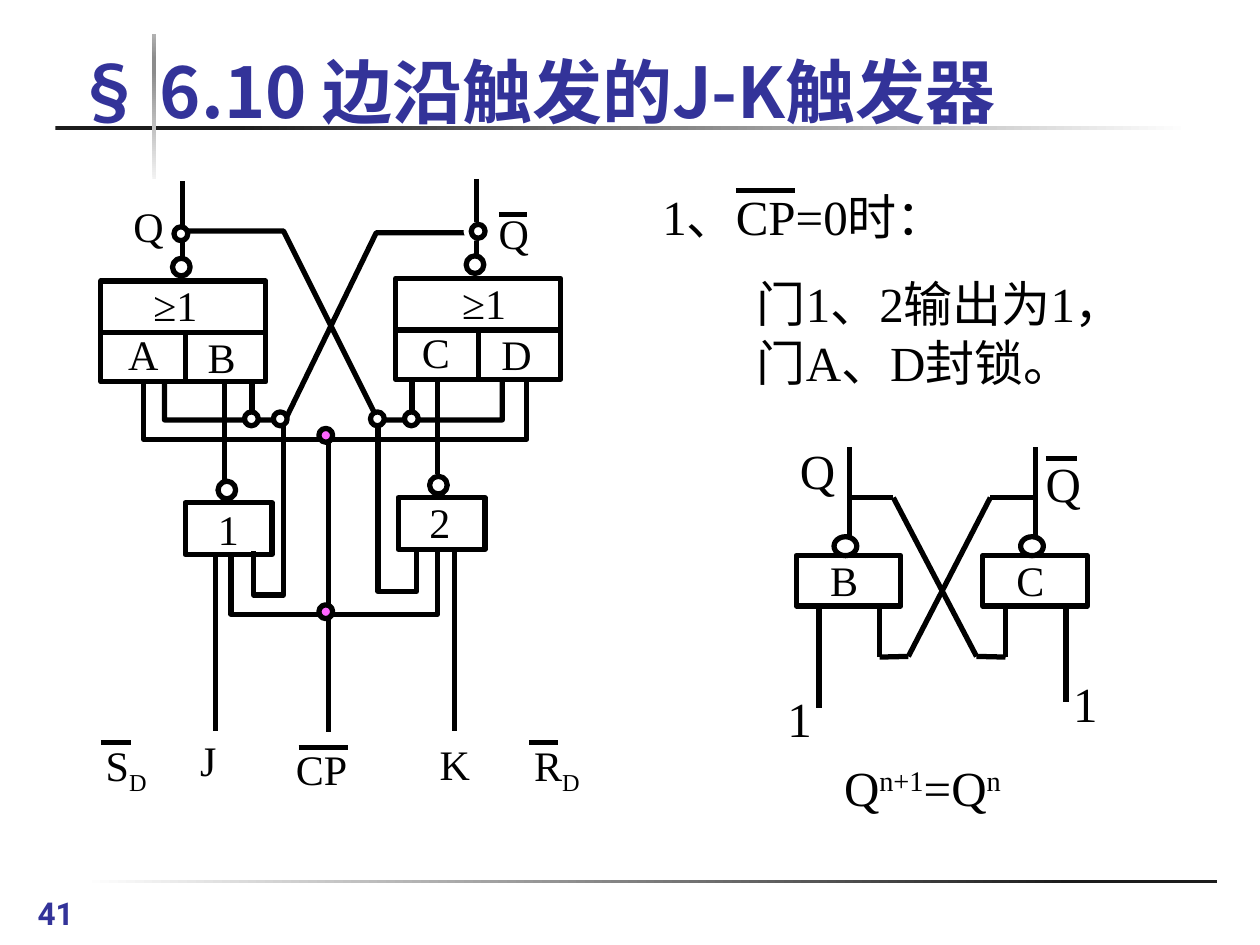
from copy import deepcopy
from pptx import Presentation
from pptx.dml.color import RGBColor
from pptx.enum.shapes import MSO_CONNECTOR, MSO_SHAPE
from pptx.enum.text import MSO_ANCHOR
from pptx.oxml.ns import qn
from pptx.util import Pt
from lxml.etree import SubElement

SERIF, SANS = "Times New Roman", "Noto Sans CJK SC"
BLACK, WHITE, BLUE, PINK = "000000", "FFFFFF", "333399", "FF66FF"

RULES = [
    (47.5, 502.6, 648, 2.2, 0, [(0, WHITE), (0.87, "1C1C1C")]),
    (31.7, 72, 648, 2.2, 0, [(0.16, "1C1C1C"), (1, WHITE)]),
    (87.1, 19.4, 2.2, 82.8, 90,
     [(0, "F2F2F2"), (0.74, "8C8C8C"), (0.83, "8C8C8C"), (1, "B2B2B2")]),
]

HEADS = [
    (14.4, 507.6, 71.3, 26.6, "41",
     dict(size=Pt(18), name="Roboto", bold=True), MSO_ANCHOR.TOP),
    (35.3, 24.5, 584.6, 54.7, "§ 6.10 边沿触发的J-K触发器",
     dict(size=Pt(40), name=SANS, bold=True), MSO_ANCHOR.BOTTOM),
]

LARGE = [
    (371.5, 103, 211.7, [("1、CP=0", 0), ("时：", 0)]),
    (425.5, 152.6, 234.7, [("门1、2输出为1，门A、D封锁。", 0)]),
    (442.8, 390.2, 36, [("1", 0)]),
    (606.2, 381.6, 36.7, [("1", 0)]),
    (450, 248.4, 37, [("Q", 0)]),
    (590.4, 255.6, 37, [("Q", 0)]),
    (475.2, 429.1, 142.6, [("Q", 0), ("n+1", 30), ("=Q", 0), ("n", 30)]),
]

SMALL = [
    (467.3, 313.2, 56, [("B", 0)]),
    (573.8, 313.2, 56, [("C", 0)]),
    (80.6, 156.2, 56, [("≥1", 0)]),
    (257, 154.8, 56, [("≥1", 0)]),
    (66.2, 184.3, 40, [("A", 0)]),
    (111.6, 185.8, 40, [("B", 0)]),
    (234, 182.9, 40, [("C", 0)]),
    (279.4, 184.3, 40, [("D", 0)]),
    (69.1, 110.9, 40, [("Q", 0)]),
    (277.9, 115.2, 40, [("Q", 0)]),
    (162, 421.2, 62, [("CP", 0)]),
    (298.1, 419, 62, [("R", 0), ("D", -25)]),
    (53.3, 419, 62, [("S", 0), ("D", -25)]),
    (107.3, 416.2, 62, [("J", 0)]),
    (244.1, 418.3, 40, [("K", 0)]),
    (117.4, 284.4, 40, [("1", 0)]),
    (238.3, 280.1, 40, [("2", 0)]),
]

GATES = [
    (57.6, 160.6, 94.3, 57.6), (226.1, 159.1, 94.3, 57.6),
    (105.8, 287.3, 49.7, 29.5), (227.5, 284.4, 49.7, 29.5),
    (455, 317.5, 59.8, 28.8), (561.6, 317.5, 59.8, 28.8),
]

RINGS = [
    (98.6, 147.6, 10.1, 10.1), (266.4, 146.2, 10.1, 10.1),
    (124.6, 275, 10.1, 10.1), (245.5, 272.2, 10.1, 10.1),
    (476.6, 306.7, 13, 10.8), (583.2, 306.7, 13, 10.8),
]

DOTS = [
    (182.2, 345.6, PINK, BLACK), (182.2, 244.8, PINK, BLACK),
    (231.1, 235.4, WHITE, BLACK), (139.7, 235.4, WHITE, BLACK),
    (156.2, 235.4, WHITE, BLACK), (211.7, 235.4, WHITE, BLACK),
    (266.4, 128.2, WHITE, WHITE), (269.3, 128.2, WHITE, BLACK),
    (99.4, 129.6, WHITE, BLACK),
]

BARS = [(420.5, 454.3, 108.7), (597.6, 615.6, 262.1), (285.1, 301, 122.4),
        (170.6, 198.7, 427), (302.4, 319, 424.1), (57.6, 74.9, 424.1)]

STEMS = [
    (485.3, 255.6, 306.7), (591.8, 255.6, 306.7),
    (468, 346.3, 404.6), (609.1, 346.3, 401),
    (105.8, 190.1, 218.2), (273.6, 188.6, 216.7),
    (104.4, 103.7, 147.6), (272.2, 102.2, 146.2),
    (235.4, 216.7, 239.8), (144, 218.2, 236.9),
    (128.2, 219.6, 275), (249.8, 215.3, 270.7),
    (187.9, 252, 418.3), (259.9, 313.9, 417.6), (123.1, 316.8, 417.6),
]

SPLITS = [(59, 152.6, 190.1), (227.5, 320.4, 188.6)]

LATCH = [
    [(485.3, 284.4), (510.5, 284.4), (558, 375.1), (574.6, 375.5), (574.6, 346.3)],
    [(591.8, 284.4), (565.9, 284.4), (519.1, 375.1), (502.6, 375.5), (502.6, 346.3)],
]

WIRES = [
    [(103, 132.5), (162, 132.5), (216, 239.8), (286.6, 239.8), (286.6, 216.7)],
    [(272.2, 133.2), (214.6, 133.2), (162.7, 240.5), (94.3, 240.5), (94.3, 218.2)],
    [(216, 239.8), (216, 338.4), (238.3, 338.4), (238.3, 313.9)],
    [(162, 241.2), (162, 339.8), (145.4, 339.8), (145.4, 315.4)],
    [(82.1, 218.2), (82.1, 250.6), (301, 250.6), (301, 216.7)],
    [(132.5, 316.8), (132.5, 351.4), (249.8, 351.4), (249.8, 315.4)],
]

deck = Presentation()
deck.slide_width, deck.slide_height = Pt(720), Pt(540)
slide = deck.slides.add_slide(deck.slide_layouts[6])
shapes = slide.shapes


def tint(code):
    return RGBColor.from_string(code)


def apply(thing, form):
    for key, value in form.items():
        setattr(thing, key, value)


def style(shape, fill=None, edge=BLACK):
    shape.shadow.inherit = False
    if fill:
        shape.fill.solid()
        shape.fill.fore_color.rgb = tint(fill)
    else:
        shape.fill.background()
    shape.line.color.rgb = tint(edge)
    shape.line.width = Pt(3)


def draw(kind, box, fill=None, edge=BLACK):
    style(shapes.add_shape(kind, *map(Pt, box)), fill, edge)


def link(*ends):
    line = shapes.add_connector(MSO_CONNECTOR.STRAIGHT, *map(Pt, ends))
    line.line.color.rgb = tint(BLACK)
    line.line.width = Pt(3)
    SubElement(line._element.spPr, qn("a:effectLst"))


def trace(points):
    pen = shapes.build_freeform(*points[0], scale=12700)
    pen.add_line_segments(points[1:], close=False)
    style(pen.convert_to_shape())


def write(box, runs, form, ink=BLACK, anchor=MSO_ANCHOR.TOP):
    frame = shapes.add_textbox(*map(Pt, box)).text_frame
    apply(frame, dict(word_wrap=True, vertical_anchor=anchor))
    for text, base in runs:
        run = frame.paragraphs[0].add_run()
        run.text = text
        apply(run.font, form)
        run.font.color.rgb = tint(ink)
        props = run.font._element
        SubElement(props, qn("a:ea")).set("typeface", SANS)
        if base:
            props.set("baseline", str(base * 1000))


def blend(x, y, w, h, turn, stops):
    bar = shapes.add_shape(MSO_SHAPE.RECTANGLE, *map(Pt, (x, y, w, h)))
    bar.shadow.inherit = False
    bar.line.fill.background()
    bar.fill.gradient()
    bar.fill.gradient_angle = turn
    group = bar._element.spPr.find(".//" + qn("a:gsLst"))
    for _ in stops[2:]:
        group.append(deepcopy(group[0]))
    for stop, (place, code) in zip(bar.fill.gradient_stops, stops):
        stop.position = place
        stop.color.rgb = tint(code)


slide.background.fill.solid()
slide.background.fill.fore_color.rgb = tint(WHITE)
for rule in RULES:
    blend(*rule)
for x, y, w, h, text, form, anchor in HEADS:
    write((x, y, w, h), [(text, 0)], form, BLUE, anchor)
for box in GATES:
    draw(MSO_SHAPE.RECTANGLE, box)
for box in RINGS:
    draw(MSO_SHAPE.OVAL, box)
for left, right, y in BARS + SPLITS:
    link(left, y, right, y)
for x, top, base in STEMS:
    link(x, top, x, base)
for points in LATCH:
    for start, end in zip(points, points[1:]):
        link(*start, *end)
for points in WIRES:
    trace(points)
for x, y, fill, edge in DOTS:
    draw(MSO_SHAPE.OVAL, (x, y, 7.9, 7.9), fill, edge)
for size, high, items in ((28, 41, LARGE), (24, 36, SMALL)):
    for x, y, w, runs in items:
        write((x, y, w, high), runs, dict(size=Pt(size), name=SERIF))

deck.save("out.pptx")
